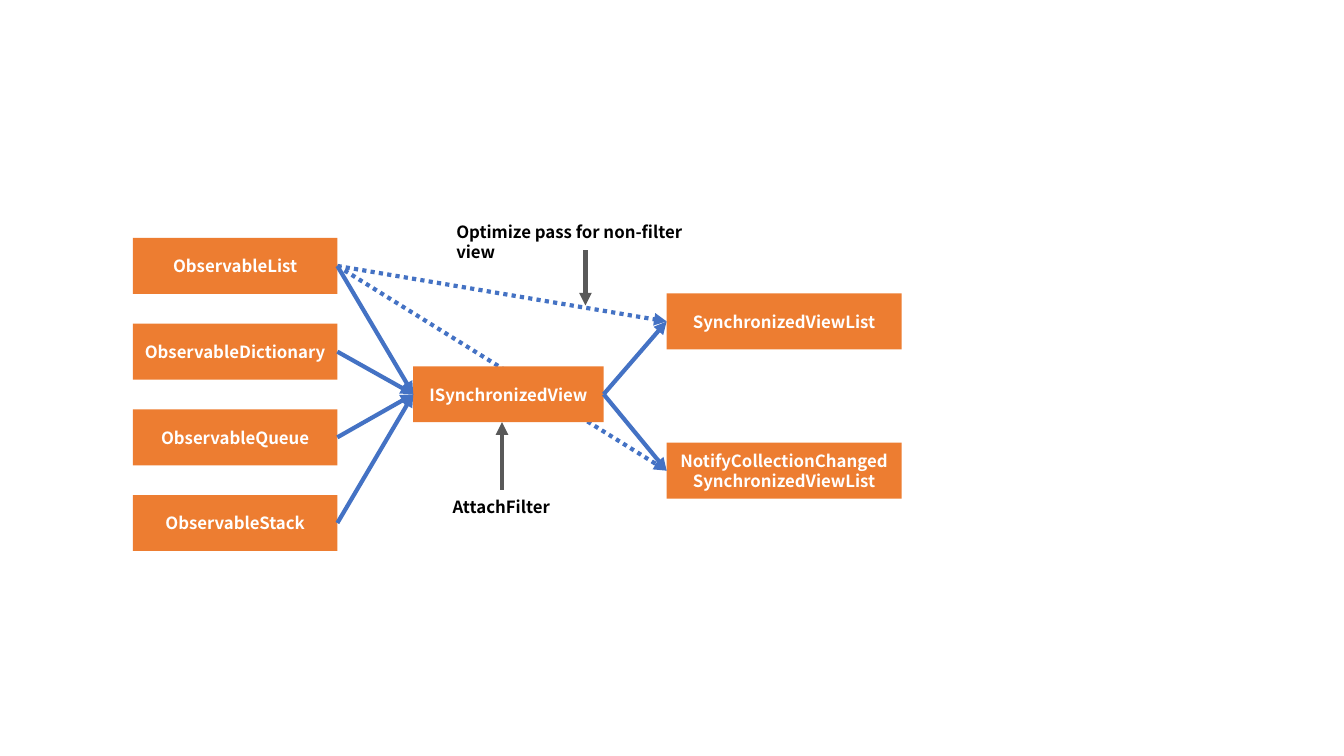
from dataclasses import dataclass

import pptx
import pptx.dml.color
import pptx.enum.dml
import pptx.enum.shapes
import pptx.enum.text
import pptx.oxml
import pptx.oxml.ns
import pptx.util
from pptx.util import Pt


@dataclass(frozen=True)
class Theme:
    font: str = "Noto Sans CJK JP"
    text_size: float = 12
    line_pitch: float = 14.5
    arrow_width: float = 3
    box: str = "ED7D31"
    box_text: str = "FFFFFF"
    label_text: str = "000000"
    flow: str = "4472C4"
    note: str = "595959"


theme = Theme()
color = pptx.dml.color.RGBColor.from_string


def write_text(shape, lines, text_color, alignment):
    shape.text_frame.word_wrap = True
    paragraph = shape.text_frame.paragraphs[0]
    paragraph.alignment = alignment
    paragraph.line_spacing = Pt(theme.line_pitch)
    for index, line in enumerate(lines):
        if index:
            paragraph.add_line_break()
        run = paragraph.add_run()
        run.text = line
        run.font.name = theme.font
        run.font.size = Pt(theme.text_size)
        run.font.bold = True
        run.font.color.rgb = color(text_color)


def add_arrow(start, end, line_color):
    """Draw a straight arrow between two (x, y) points given in points."""
    arrow = slide.shapes.add_connector(
        pptx.enum.shapes.MSO_CONNECTOR.STRAIGHT, *map(Pt, start + end))
    arrow.line.color.rgb = color(line_color)
    arrow.line.width = Pt(theme.arrow_width)
    head = pptx.oxml.parse_xml(
        f'<a:tailEnd {pptx.oxml.ns.nsdecls("a")} type="triangle"/>')
    arrow.line._get_or_add_ln().append(head)
    properties = arrow._element.spPr
    properties.append(pptx.oxml.parse_xml(
        f'<a:effectLst {pptx.oxml.ns.nsdecls("a")}/>'))
    return arrow


presentation = pptx.Presentation()
presentation.slide_width = Pt(960)
presentation.slide_height = Pt(540)
slide = presentation.slides.add_slide(presentation.slide_layouts[6])

# Boxes: sources on the left, the view in the middle, view lists on the right
box_height = 40
source_top, source_pitch = 170, 61.2
sources = ["ObservableList", "ObservableDictionary", "ObservableQueue", "ObservableStack"]
box_places = {
    name: (95, source_top + row * source_pitch, 146, [name])
    for row, name in enumerate(sources)
}
box_places["View"] = (295.2, 261.6, 136, ["ISynchronizedView"])
box_places["ViewList"] = (476.2, 209.6, 167.8, ["SynchronizedViewList"])
box_places["NotifyList"] = (
    476.2, 316.2, 167.8, ["NotifyCollectionChanged", "SynchronizedViewList"])

boxes = {}
for name, (left, top, width, lines) in box_places.items():
    box = slide.shapes.add_shape(
        pptx.enum.shapes.MSO_SHAPE.RECTANGLE,
        Pt(left), Pt(top), Pt(width), Pt(box_height))
    box.shadow.inherit = False
    box.fill.solid()
    box.fill.fore_color.rgb = color(theme.box)
    box.line.fill.background()
    box.text_frame.vertical_anchor = pptx.enum.text.MSO_ANCHOR.MIDDLE
    write_text(box, lines, theme.box_text, pptx.enum.text.PP_ALIGN.CENTER)
    boxes[name] = box

# Flows run from a box's right side to the next box's left side
left_site, right_site = 1, 3
view_lists = ["ViewList", "NotifyList"]
flows = [(source, "View", False) for source in sources]
flows += [("View", target, False) for target in view_lists]
flows += [("ObservableList", target, True) for target in view_lists]
for start, end, is_shortcut in flows:
    arrow = add_arrow((0, 0), (0, 0), theme.flow)
    arrow.begin_connect(boxes[start], right_site)
    arrow.end_connect(boxes[end], left_site)
    if is_shortcut:
        arrow.line.dash_style = pptx.enum.dml.MSO_LINE.ROUND_DOT
        # Shortcuts pass behind every box
        boxes[sources[0]]._element.addprevious(arrow._element)

# Notes with their pointers
notes = [
    ("AttachFilter", (316.2, 351.4, 84.2), (358.6, 350), (358.6, 301.6)),
    ("Optimize pass for non-filter view", (318.8, 154.8, 204), (418.2, 178.6), (418.2, 218.2)),
]
for words, (left, top, width), start, end in notes:
    add_arrow(start, end, theme.note)
    label = slide.shapes.add_textbox(Pt(left), Pt(top), Pt(width), Pt(21.6))
    write_text(label, [words], theme.label_text, pptx.enum.text.PP_ALIGN.LEFT)

presentation.save("out.pptx")
